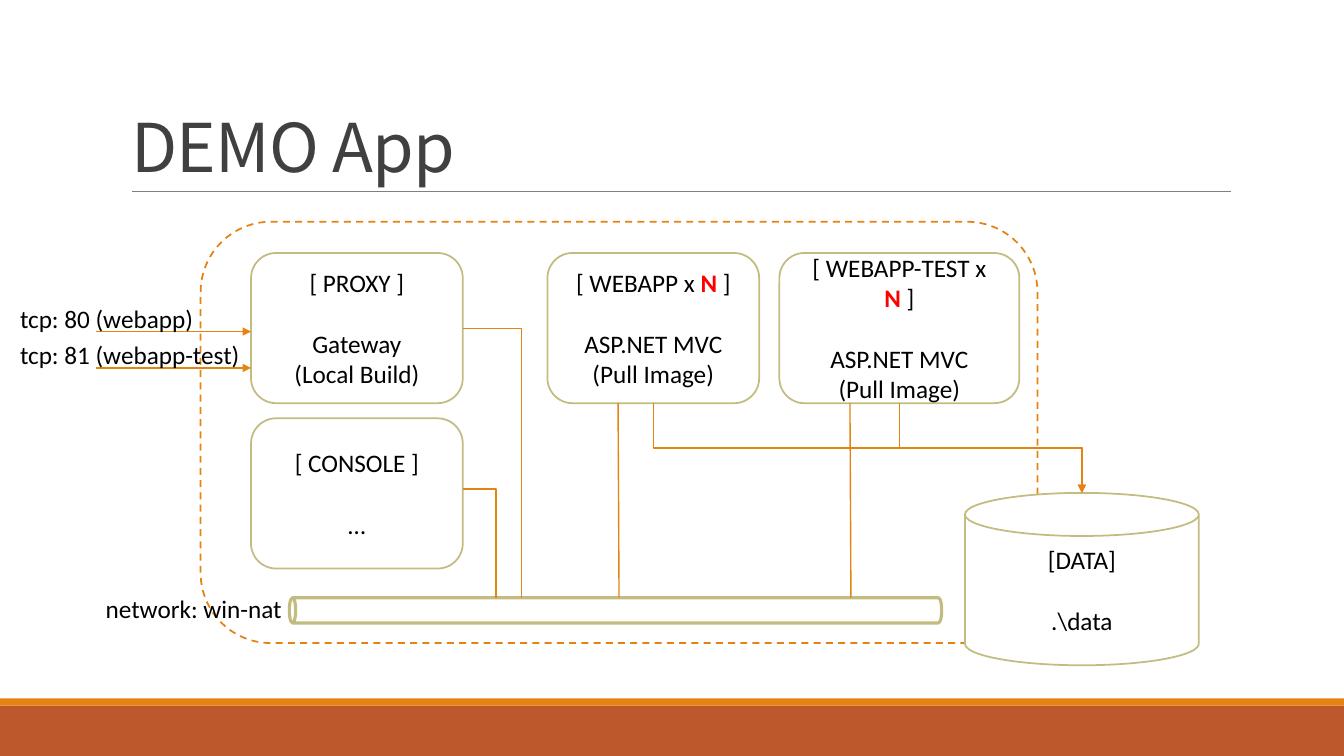
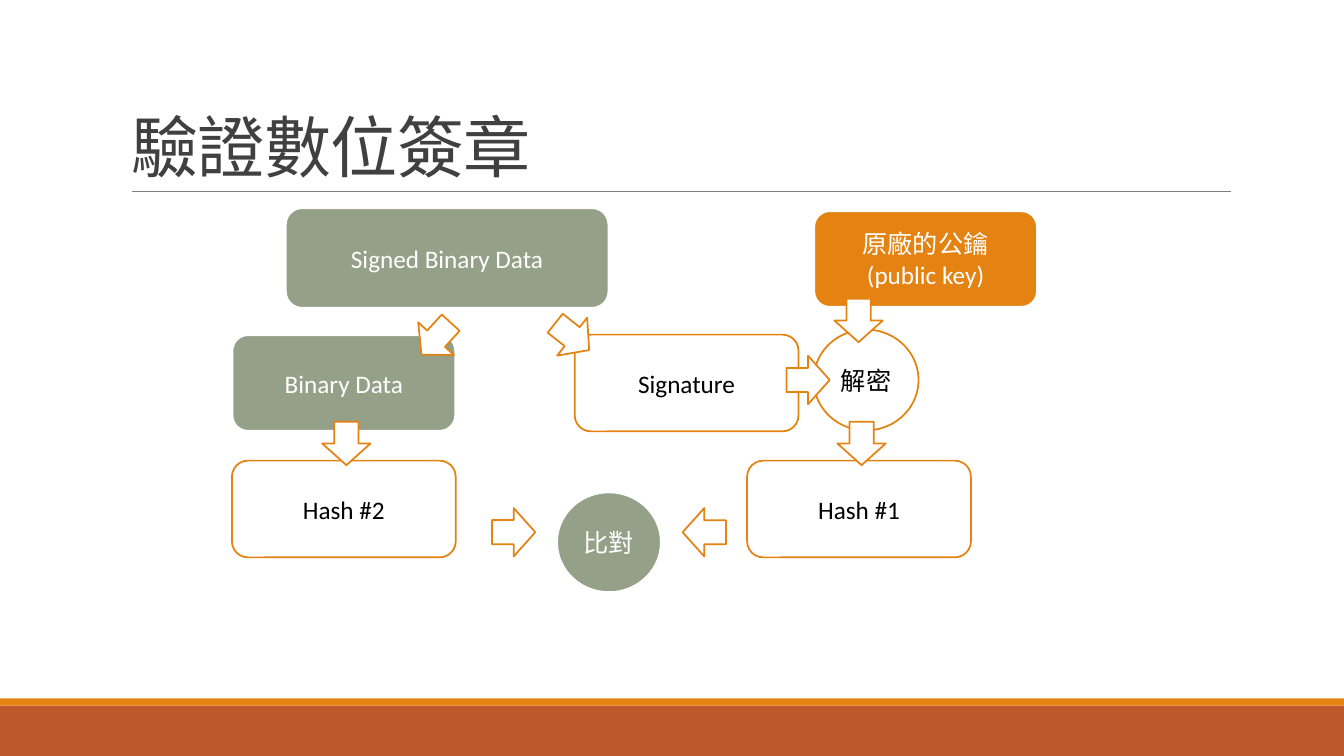
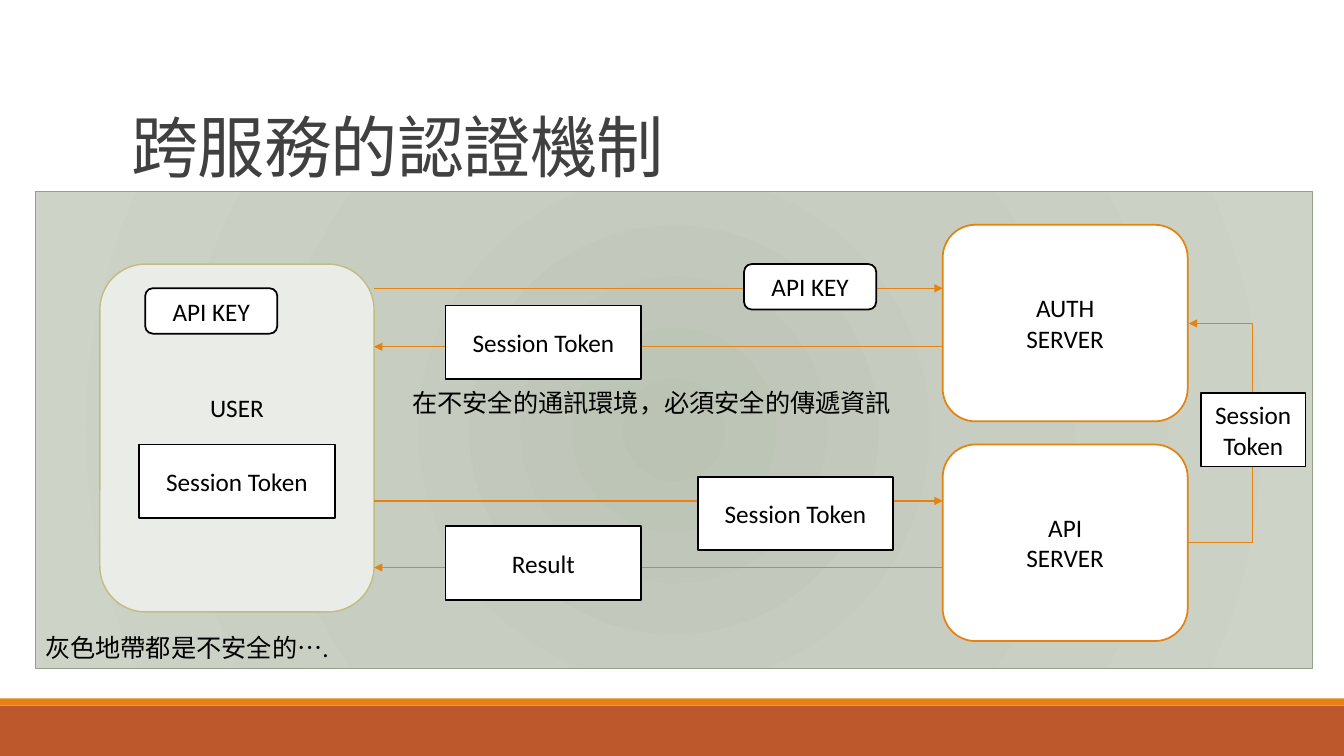
import pptx
import pptx.dml.color
import pptx.enum.shapes
import pptx.enum.text
import pptx.oxml.ns
import pptx.util
import lxml.etree

Inches = pptx.util.Inches
Pt = pptx.util.Pt
SHAPE = pptx.enum.shapes.MSO_SHAPE
CONNECTOR = pptx.enum.shapes.MSO_CONNECTOR
ALIGN = pptx.enum.text.PP_ALIGN
ANCHOR = pptx.enum.text.MSO_ANCHOR
qn = pptx.oxml.ns.qn

ORANGE, RUST, SAGE, KHAKI = "E48312", "BD582C", "94A088", "C2BC80"
WHITE, BLACK, RED, RULE_GREY, TITLE_GREY = "FFFFFF", "000000", "FF0000", "808080", "404040"
LATIN, CJK = "Calibri", "Noto Sans CJK SC"
LINE_HEIGHT = 22

STYLES = {
    "band": (RUST, None, 0, WHITE),
    "stripe": (ORANGE, None, 0, WHITE),
    "frame": (WHITE, ORANGE, 1.25, BLACK),
    "service": (WHITE, KHAKI, 1.25, BLACK),
    "network": (WHITE, KHAKI, 2.25, BLACK),
    "step": (WHITE, ORANGE, 1.25, BLACK),
    "data": (SAGE, WHITE, 2, WHITE),
    "key": (ORANGE, WHITE, 2, WHITE),
    "zone": (SAGE, SAGE, 1, BLACK),
    "user": ("EAECE7", KHAKI, 1, BLACK),
    "token": (WHITE, BLACK, 1.25, BLACK),
}

TITLE_BOX = (1.2, 0.31, 11, 1.59)
TITLE_FONT = {"size": Pt(48), "name": CJK}
BODY_FONT = {"size": Pt(18), "name": LATIN}

APP_FRAME = (1.99, 2.2, 8.3, 4.18)
SERVICES = [
    (SHAPE.ROUNDED_RECTANGLE, (2.49, 2.51, 2.1, 1.49), ["[ PROXY ]", "Gateway", "(Local Build)"]),
    (SHAPE.ROUNDED_RECTANGLE, (5.43, 2.51, 2.1, 1.49), ["[ WEBAPP x *N* ]", "ASP.NET MVC", "(Pull Image)"]),
    (SHAPE.ROUNDED_RECTANGLE, (7.73, 2.51, 2.38, 1.49), ["[ WEBAPP-TEST x *N* ]", "ASP.NET MVC", "(Pull Image)"]),
    (SHAPE.ROUNDED_RECTANGLE, (2.49, 4.15, 2.1, 1.49), ["[ CONSOLE ]", "…"]),
    (SHAPE.CAN, (9.57, 4.89, 2.32, 1.71), ["[DATA]", ".\\data"]),
]
NETWORK_PIPE = (5.98, 2.82, 0.25, 6.47)
NETWORK_TOP = 5.93
PORTS = [("tcp: 80 (webapp)", 3.29), ("tcp: 81 (webapp-test)", 3.65)]
NETWORK_LABEL = ("network: win-nat", (0.95, 5.84, 2.1, 0.4))
NETWORK_ELBOWS = [((4.59, 4.85), 4.92), ((4.59, 3.26), 5.17)]
NETWORK_DROPS = [6.13, 8.43]
DATA_LINKS = [8.92, 6.48]
WEBAPP_BOTTOM, DATA_TOP = 4, (10.73, 4.89)

STEP_SIZE, CIRCLE_SIZE, ARROW_SIZE = (2.22, 0.96), (1.04, 1), (0.43, 0.48)
VERIFY_STEPS = [
    (SHAPE.ROUNDED_RECTANGLE, "step", (7.41, 4.57) + STEP_SIZE, ["Hash #1"]),
    (SHAPE.ROUNDED_RECTANGLE, "data", (2.83, 2.06, 3.21, 1), ["Signed Binary Data"]),
    (SHAPE.ROUNDED_RECTANGLE, "data", (2.3, 3.32) + STEP_SIZE, ["Binary Data"]),
    (SHAPE.ROUNDED_RECTANGLE, "step", (5.7, 3.32) + STEP_SIZE, ["Signature"]),
    (SHAPE.ROUNDED_RECTANGLE, "key", (8.07, 2.09) + STEP_SIZE, ["原廠的公鑰", "(public key)"]),
    (SHAPE.OVAL, "step", (8.07, 3.27) + CIRCLE_SIZE, ["解密"]),
    (SHAPE.ROUNDED_RECTANGLE, "step", (2.3, 4.57) + STEP_SIZE, ["Hash #2"]),
    (SHAPE.OVAL, "data", (5.52, 4.88) + CIRCLE_SIZE, ["比對"]),
]
VERIFY_ARROWS = [
    ((5.46, 3.1), 38.4), ((4.11, 3.12), 132.4), ((8.3, 2.94), 90), ((4.88, 5.04), 0),
    ((8.33, 4.16), 90), ((3.22, 4.16), 90), ((6.77, 5.04), 180), ((7.8, 3.53), 0),
]

UNSAFE_ZONE = (0.35, 1.9, 12.67, 4.73)
ZONE_STOPS = [(0, "BBC3B5"), (45, "C7CDC1"), (100, "CDD4C7")]
USER = (0.99, 2.62, 2.72, 3.45)
SERVERS = [(2.23, ["AUTH", "SERVER"]), (4.41, ["API", "SERVER"])]
ZONE_LABELS = [
    ("灰色地帶都是不安全的….", (0.35, 6.22, 2.96, 0.4)),
    ("在不安全的通訊環境，必須安全的傳遞資訊", (3.99, 3.79, 5.18, 0.4)),
]
USER_EDGE, SERVER_EDGE = 3.71, 9.35
REQUESTS, REPLIES = [2.86, 4.97], [3.44, 5.63]
TOKEN_CHECK = ((11.77, 5.38), (11.79, 3.21), 12.42)
KEY_SIZE, TOKEN_SIZE = (1.31, 0.45), (1.94, 0.73)
MESSAGES = [
    (SHAPE.ROUNDED_RECTANGLE, (1.44, 2.86) + KEY_SIZE, ["API KEY"]),
    (SHAPE.ROUNDED_RECTANGLE, (7.38, 2.62) + KEY_SIZE, ["API KEY"]),
    (SHAPE.RECTANGLE, (6.92, 4.73) + TOKEN_SIZE, ["Session Token"]),
    (SHAPE.RECTANGLE, (4.42, 3.03) + TOKEN_SIZE, ["Session Token"]),
    (SHAPE.RECTANGLE, (1.38, 4.41) + TOKEN_SIZE, ["Session Token"]),
    (SHAPE.RECTANGLE, (4.42, 5.22) + TOKEN_SIZE, ["Result"]),
    (SHAPE.RECTANGLE, (11.91, 3.9, 1.04, 0.73), ["Session", "Token"]),
]


def rgb(value):
    return pptx.dml.color.RGBColor.from_string(value)


def assign(target, values):
    for name, value in values.items():
        setattr(target, name, value)


def add_child(parent, tag, **attributes):
    return lxml.etree.SubElement(parent, qn(tag), attributes)


def format_run(run, font, color):
    assign(run.font, font)
    run.font.color.rgb = rgb(color)
    add_child(run.font._element, "a:ea", typeface=CJK)


def write_lines(frame, lines, color, align, heading_gap=False):
    for index, line in enumerate(lines):
        paragraph = frame.paragraphs[0] if index == 0 else frame.add_paragraph()
        paragraph.alignment = align
        if heading_gap and index == 1:
            paragraph.space_before = Pt(LINE_HEIGHT)
        for part, text in enumerate(line.split("*")):
            run = paragraph.add_run()
            run.text = text
            emphasised = part % 2 == 1
            format_run(run, {**BODY_FONT, "bold": emphasised}, RED if emphasised else color)


def add_box(slide, kind, style, box, lines=(), heading_gap=False, rotation=0):
    fill, line, width, text_color = STYLES[style]
    shape = slide.shapes.add_shape(kind, *map(Inches, box))
    shape.shadow.inherit = False
    shape.rotation = rotation
    shape.fill.solid()
    shape.fill.fore_color.rgb = rgb(fill)
    if line:
        shape.line.color.rgb = rgb(line)
        shape.line.width = Pt(width)
    else:
        shape.line.fill.background()
    assign(shape.text_frame, {"word_wrap": True, "vertical_anchor": ANCHOR.MIDDLE})
    write_lines(shape.text_frame, lines, text_color, ALIGN.CENTER, heading_gap)
    return shape


def add_label(slide, text, box):
    frame = slide.shapes.add_textbox(*map(Inches, box)).text_frame
    frame.word_wrap = True
    write_lines(frame, [text], BLACK, ALIGN.LEFT)


def add_line(slide, start, end, arrow=False, kind=CONNECTOR.STRAIGHT, color=ORANGE, width=1):
    connector = slide.shapes.add_connector(kind, *map(Inches, start + end))
    connector.line.color.rgb = rgb(color)
    connector.line.width = Pt(width)
    if arrow:
        add_child(connector.line._get_or_add_ln(), "a:tailEnd", type="triangle")
    add_child(connector._element.spPr, "a:effectLst")
    return connector


def add_corner(slide, start, end):
    corner = add_line(slide, start, end, kind=CONNECTOR.ELBOW)
    corner._element.spPr.find(qn("a:prstGeom")).set("prst", "bentConnector2")


def add_down_elbow(slide, start, end):
    elbow = add_line(slide, start, end, arrow=True, kind=CONNECTOR.ELBOW)
    across, down = end[0] - start[0], end[1] - start[1]
    assign(elbow, {
        "left": Inches((start[0] + end[0] - down) / 2),
        "top": Inches((start[1] + end[1] - across) / 2),
        "width": Inches(down),
        "height": Inches(across),
    })
    xfrm = elbow._element.spPr.find(qn("a:xfrm"))
    xfrm.set("rot", "16200000")
    xfrm.set("flipH", "1")


def add_side_elbow(slide, start, end, bend):
    elbow = add_line(slide, start, end, arrow=True, kind=CONNECTOR.ELBOW)
    geometry = elbow._element.spPr.find(qn("a:prstGeom"))
    guides = geometry.find(qn("a:avLst"))
    if guides is None:
        guides = add_child(geometry, "a:avLst")
    ratio = round((bend - start[0]) / (end[0] - start[0]) * 100000)
    add_child(guides, "a:gd", name="adj1", fmla=f"val {ratio}")


def fill_radial(shape, stops):
    shape.fill.gradient()
    gradient = shape._element.spPr.find(qn("a:gradFill"))
    for child in list(gradient):
        gradient.remove(child)
    stop_list = add_child(gradient, "a:gsLst")
    for position, color in stops:
        stop = add_child(stop_list, "a:gs", pos=str(position * 1000))
        add_child(stop, "a:srgbClr", val=color)
    circle = add_child(gradient, "a:path", path="circle")
    add_child(circle, "a:fillToRect", **dict.fromkeys("ltrb", "50000"))


def move_bands_to_layout(slide, layout):
    bands = [
        add_box(slide, SHAPE.RECTANGLE, "band", (0, 7, 13.33, 0.5)),
        add_box(slide, SHAPE.RECTANGLE, "stripe", (0, 6.93, 13.33, 0.07)),
        add_line(slide, (1.31, 1.9), (12.21, 1.9), color=RULE_GREY, width=0.5),
    ]
    for band in bands:
        layout.shapes.element.append(band._element)


def add_titled_slide(deck, layout, title):
    slide = deck.slides.add_slide(layout)
    heading = slide.shapes.title
    assign(heading, dict(zip(("left", "top", "width", "height"), map(Inches, TITLE_BOX))))
    assign(heading.text_frame, {"word_wrap": True, "vertical_anchor": ANCHOR.BOTTOM})
    paragraph = heading.text_frame.paragraphs[0]
    assign(paragraph, {"alignment": ALIGN.LEFT, "line_spacing": 0.85})
    run = paragraph.add_run()
    run.text = title
    format_run(run, TITLE_FONT, TITLE_GREY)
    run.font._element.set("spc", "-50")
    return slide


def build_demo_app(slide):
    frame = add_box(slide, SHAPE.ROUNDED_RECTANGLE, "frame", APP_FRAME)
    frame.line.dash_style = pptx.enum.dml.MSO_LINE.DASH
    for kind, box, lines in SERVICES:
        add_box(slide, kind, "service", box, lines, heading_gap=True)
    add_box(slide, SHAPE.CAN, "network", NETWORK_PIPE, rotation=270)
    add_label(slide, *NETWORK_LABEL)
    for text, y in PORTS:
        add_line(slide, (0.95, y), (2.49, y), arrow=True)
        add_label(slide, text, (0.1, y - 0.33, 2.68, 0.4))
    for start, x in NETWORK_ELBOWS:
        add_corner(slide, start, (x, NETWORK_TOP))
    for x in NETWORK_DROPS:
        add_line(slide, (x, WEBAPP_BOTTOM), (x + 0.01, NETWORK_TOP))
    for x in DATA_LINKS:
        add_down_elbow(slide, (x, WEBAPP_BOTTOM), DATA_TOP)


def build_signature_check(slide):
    for kind, style, box, lines in VERIFY_STEPS:
        add_box(slide, kind, style, box, lines)
    for corner, rotation in VERIFY_ARROWS:
        add_box(slide, SHAPE.RIGHT_ARROW, "step", corner + ARROW_SIZE, rotation=rotation)


def build_service_auth(slide):
    zone = add_box(slide, SHAPE.RECTANGLE, "zone", UNSAFE_ZONE)
    fill_radial(zone, ZONE_STOPS)
    user = add_box(slide, SHAPE.ROUNDED_RECTANGLE, "user", USER, ["USER"])
    user.text_frame.margin_bottom = Inches(0.66)
    for top, lines in SERVERS:
        add_box(slide, SHAPE.ROUNDED_RECTANGLE, "step", (SERVER_EDGE, top, 2.43, 1.95), lines)
    for y in REQUESTS:
        add_line(slide, (USER_EDGE, y), (SERVER_EDGE, y), arrow=True)
    for y in REPLIES:
        add_line(slide, (SERVER_EDGE, y), (USER_EDGE, y), arrow=True)
    add_side_elbow(slide, *TOKEN_CHECK)
    for text, box in ZONE_LABELS:
        add_label(slide, text, box)
    for kind, box, lines in MESSAGES:
        add_box(slide, kind, "token", box, lines)


SLIDES = [
    ("DEMO App", build_demo_app),
    ("驗證數位簽章", build_signature_check),
    ("跨服務的認證機制", build_service_auth),
]


def main():
    deck = pptx.Presentation()
    assign(deck, {"slide_width": Inches(13.33), "slide_height": Inches(7.5)})
    layout = deck.slide_layouts.get_by_name("Title Only")
    for index, (title, build) in enumerate(SLIDES):
        slide = add_titled_slide(deck, layout, title)
        if index == 0:
            move_bands_to_layout(slide, layout)
        build(slide)
    deck.save("out.pptx")


if __name__ == "__main__":
    main()
